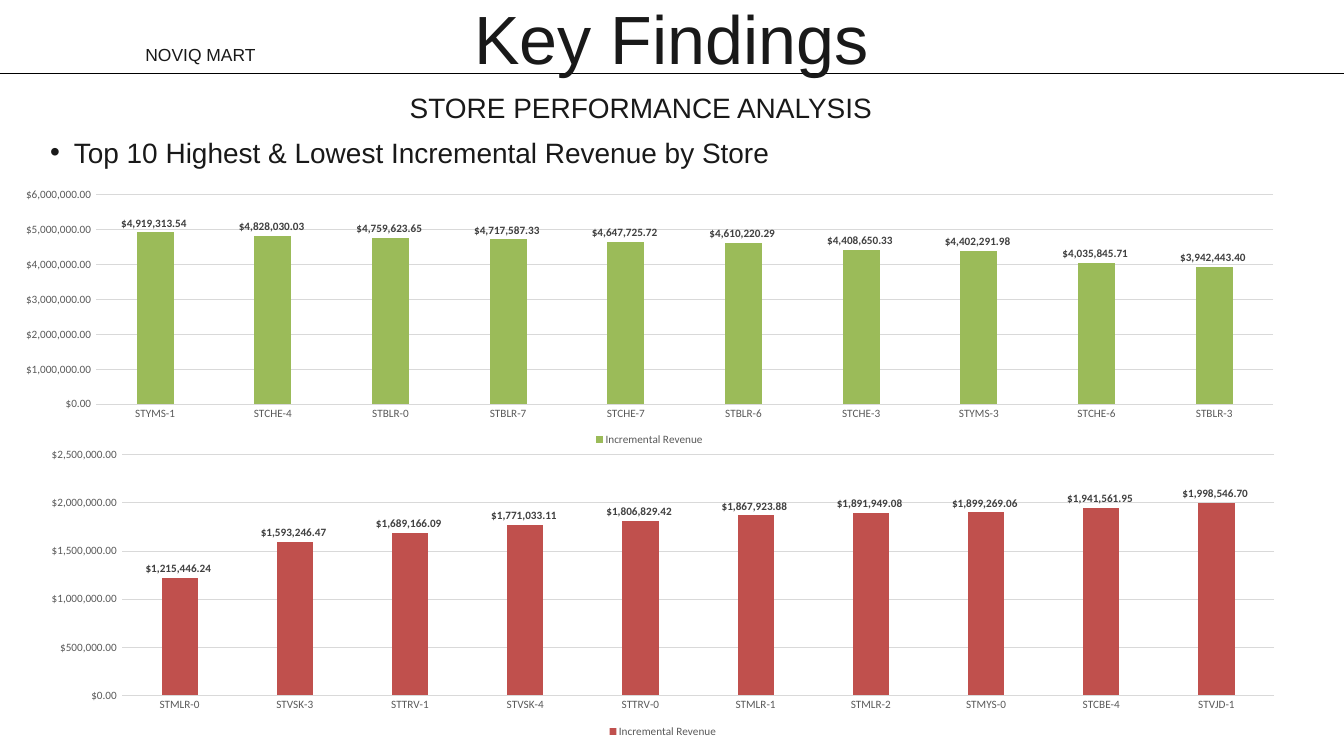
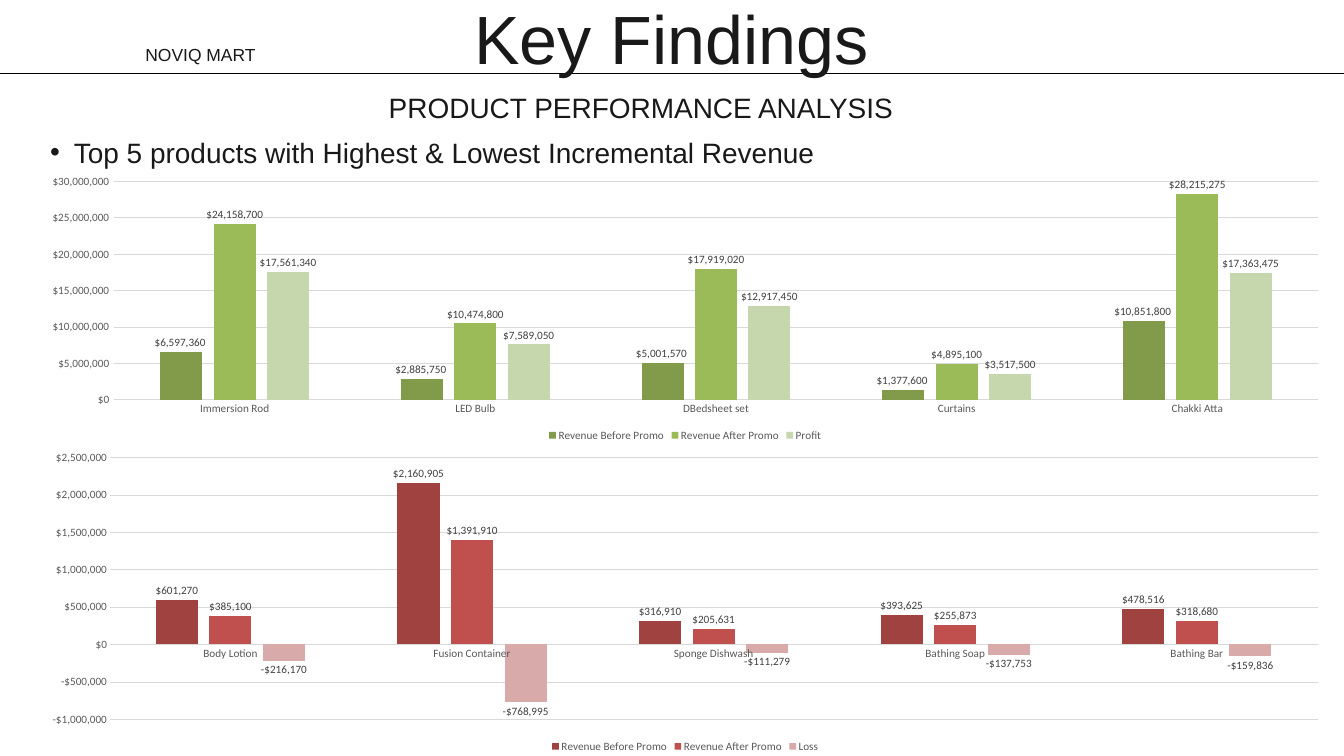
from lxml.etree import SubElement
from pptx import Presentation
from pptx.chart.data import CategoryChartData
from pptx.dml.color import RGBColor
from pptx.enum.chart import XL_CHART_TYPE as ChartType
from pptx.enum.chart import XL_LABEL_POSITION as LabelPos
from pptx.enum.chart import XL_LEGEND_POSITION as LegendPos
from pptx.enum.chart import XL_TICK_MARK as Tick
from pptx.enum.shapes import MSO_CONNECTOR as Connector
from pptx.enum.text import MSO_AUTO_SIZE as AutoSize
from pptx.enum.text import PP_ALIGN as Align
from pptx.oxml.ns import qn
from pptx.util import Cm, Pt

COLORS = {
    "ink": "191919", "rule": "000000", "axis": "595959", "grid": "D9D9D9", "label": "404040",
    "green": "9BBB59", "dark_green": "819B4A", "pale_green": "C6D6AD",
    "red": "C0504D", "dark_red": "9F4240", "pale_red": "D9AAAA",
}
CENTS = '"$"#,##0.00_);[Red]\\("$"#,##0.00\\)'
WHOLE = '"$"#,##0_);[Red]\\("$"#,##0\\)'
PLAIN = '"$"#,##0'
BEFORE, AFTER = "Revenue Before Promo", "Revenue After Promo"


def rgb(name):
    """Return the named colour."""
    return RGBColor.from_string(COLORS[name])


class Deck:
    """Holds the style and the current slide."""

    text_font, chart_font = "Arial", "Calibri"

    def __init__(self):
        """Start an empty deck."""
        self.prs = Presentation()
        self.prs.slide_width, self.prs.slide_height = Cm(50.8), Cm(28.58)
        self.s = None

    def slide(self, heading, bullet, bullet_width):
        """Add a slide with the shared header, its heading and its bullet."""
        self.s = self.prs.slides.add_slide(self.prs.slide_layouts[6])
        self.rule(2.77)
        self.text("Key Findings", (14.78, 0.33, 21.21, 2.69), 73.1, 73.9)
        self.text(heading, (12.62, 3.3, 23.22, 1.32), 30, 39)
        p = self.text(bullet, (0.99, 5.11, bullet_width, 1.3), 30, 36, Align.LEFT)
        self.bullet(p)
        self.text("NOVIQ MART", (0, 1.55, 15.16, 0.86), 18.7, 26.1)

    def rule(self, y):
        """Draw a line across the slide."""
        c = self.s.shapes.add_connector(Connector.STRAIGHT, 0, Cm(y), self.prs.slide_width, Cm(y))
        c.line.color.rgb = rgb("rule")
        c.line.width = Pt(1.5)
        SubElement(c._element.spPr, qn("a:effectLst"))

    def text(self, text, box, size, spacing, align=Align.CENTER):
        """Add a one-paragraph text box and return its paragraph."""
        tf = self.s.shapes.add_textbox(*map(Cm, box)).text_frame
        tf.margin_left = tf.margin_top = tf.margin_right = tf.margin_bottom = 0
        tf.word_wrap = True
        tf.auto_size = AutoSize.SHAPE_TO_FIT_TEXT
        tf.text = text
        p = tf.paragraphs[0]
        p.alignment = align
        p.line_spacing = Pt(spacing)
        self.font(p.runs[0].font, size, "ink", self.text_font)
        return p

    def bullet(self, p):
        """Give a paragraph a hanging bullet."""
        p.level = 1
        pPr = p._p.get_or_add_pPr()
        pPr.set("marL", str(Cm(1.8)))
        pPr.set("indent", str(Cm(-0.89)))
        SubElement(pPr, qn("a:buFont"), typeface="Arial")
        SubElement(pPr, qn("a:buChar"), char="•")

    def font(self, font, size, color, name, bold=False):
        """Set the look of a font."""
        font.size, font.name, font.bold = Pt(size), name, bold
        font.color.rgb = rgb(color)

    def axis(self, axis):
        """Style what both chart axes share."""
        axis.major_tick_mark = axis.minor_tick_mark = Tick.NONE
        self.font(axis.tick_labels.font, 12, "axis", self.chart_font)

    def columns(self, box, cats, series, fmt, bold=False):
        """Add a column chart from (name, colour, label format, values) rows."""
        data = CategoryChartData()
        data.categories = cats
        for name, _, _, values in series:
            data.add_series(name, values)
        chart = self.s.shapes.add_chart(ChartType.COLUMN_CLUSTERED, *map(Cm, box), data).chart
        self.font(chart.font, 10, "rule", self.chart_font)
        chart.has_title = False
        chart.has_legend = True
        chart.legend.position = LegendPos.BOTTOM
        chart.legend.include_in_layout = False
        self.font(chart.legend.font, 12, "axis", self.chart_font)
        cat, val = chart.category_axis, chart.value_axis
        self.axis(cat)
        self.axis(val)
        val.format.line.fill.background()
        val.has_major_gridlines = True
        for line in (cat.format.line, val.major_gridlines.format.line):
            line.color.rgb = rgb("grid")
            line.width = Pt(0.75)
        val.tick_labels.number_format = fmt
        val.tick_labels.number_format_is_linked = False
        plot = chart.plots[0]
        plot.gap_width, plot.overlap, plot.vary_by_categories = 219, -27, False
        for ser, (_, color, label_fmt, _) in zip(plot.series, series):
            ser.invert_if_negative = False
            ser.format.fill.solid()
            ser.format.fill.fore_color.rgb = rgb(color)
            labels = ser.data_labels
            labels.show_value = True
            labels.position = LabelPos.OUTSIDE_END
            labels.number_format = label_fmt
            labels.number_format_is_linked = False
            self.font(labels.font, 12, "label", self.chart_font, bold)


def stores(deck):
    """Build the store slide."""
    deck.slide("STORE PERFORMANCE ANALYSIS",
               "Top 10 Highest & Lowest Incremental Revenue by Store", 31.6)
    charts = [
        ((0, 6.91, 49.1, 10.06), "green",
         {"STYMS-1": 4919313.54, "STCHE-4": 4828030.03, "STBLR-0": 4759623.65,
          "STBLR-7": 4717587.33, "STCHE-7": 4647725.72, "STBLR-6": 4610220.29,
          "STCHE-3": 4408650.33, "STYMS-3": 4402291.98, "STCHE-6": 4035845.71,
          "STBLR-3": 3942443.4}),
        ((0.99, 16.71, 48.13, 11.3), "red",
         {"STMLR-0": 1215446.24, "STVSK-3": 1593246.47, "STTRV-1": 1689166.09,
          "STVSK-4": 1771033.11, "STTRV-0": 1806829.42, "STMLR-1": 1867923.88,
          "STMLR-2": 1891949.08, "STMYS-0": 1899269.06, "STCBE-4": 1941561.95,
          "STVJD-1": 1998546.7}),
    ]
    for box, color, revenue in charts:
        series = [("Incremental Revenue", color, CENTS, list(revenue.values()))]
        deck.columns(box, list(revenue), series, CENTS, bold=True)


def products(deck):
    """Build the product slide."""
    deck.slide("PRODUCT PERFORMANCE ANALYSIS",
               "Top 5 products with Highest & Lowest Incremental Revenue", 33.25)
    deck.columns(
        (0.99, 6.4, 49.81, 10.41),
        ["Immersion Rod", "LED Bulb", "DBedsheet set", "Curtains", "Chakki Atta"],
        [(BEFORE, "dark_green", WHOLE, [6597360, 2885750, 5001570, 1377600, 10851800]),
         (AFTER, "green", PLAIN, [24158700, 10474800, 17919020, 4895100, 28215275]),
         ("Profit", "pale_green", PLAIN, [17561340, 7589050, 12917450, 3517500, 17363475])],
        WHOLE)
    deck.columns(
        (0.99, 16.81, 49.81, 11.76),
        ["Body Lotion", "Fusion Container", "Sponge Dishwash", "Bathing Soap", "Bathing Bar"],
        [(BEFORE, "dark_red", PLAIN, [601270, 2160905, 316910, 393625, 478516]),
         (AFTER, "red", PLAIN, [385100, 1391910, 205631, 255873, 318680]),
         ("Loss", "pale_red", PLAIN, [-216170, -768995, -111279, -137753, -159836])],
        PLAIN)


def main():
    """Build and save the deck."""
    deck = Deck()
    stores(deck)
    products(deck)
    deck.prs.save("out.pptx")


if __name__ == "__main__":
    main()
